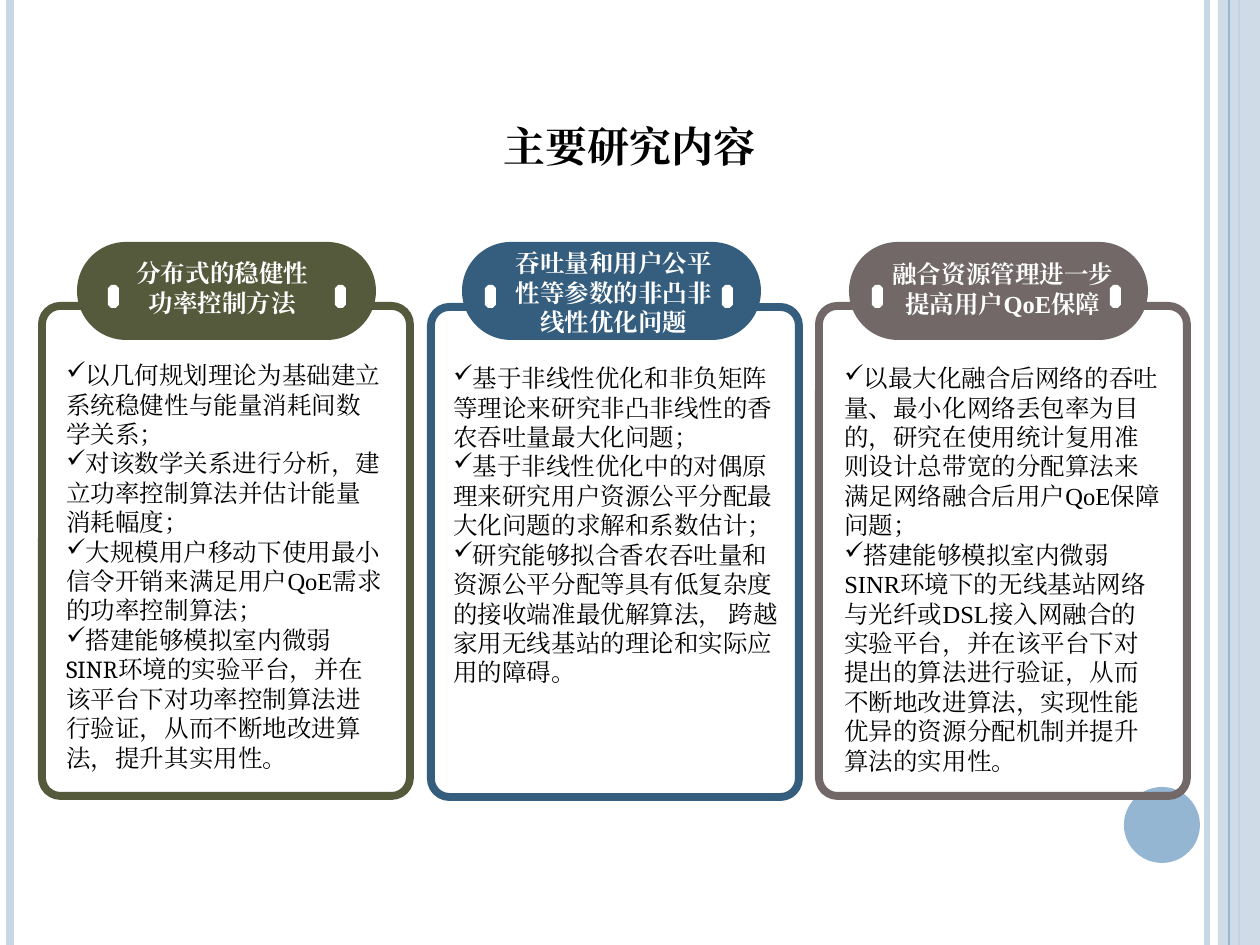
"""Builds a slide with three framed columns of research topics."""
from lxml import etree
from pptx import Presentation
from pptx.dml.color import RGBColor
from pptx.enum.shapes import MSO_CONNECTOR, MSO_SHAPE
from pptx.enum.text import MSO_ANCHOR, PP_ALIGN
from pptx.oxml.ns import qn
from pptx.util import Pt

PX = 914400 // 126
WIDTH, HEIGHT = 1260, 945
STRAIGHT = MSO_CONNECTOR.STRAIGHT
RECT, OVAL = MSO_SHAPE.RECTANGLE, MSO_SHAPE.OVAL
ROUND, OCTAGON = MSO_SHAPE.ROUNDED_RECTANGLE, MSO_SHAPE.OCTAGON
TOP, BOTTOM = MSO_ANCHOR.TOP, MSO_ANCHOR.BOTTOM
CENTER, LEFT = PP_ALIGN.CENTER, PP_ALIGN.LEFT
WHITE = RGBColor(0xFF, 0xFF, 0xFF)
BLACK = RGBColor(0, 0, 0)
PALE = RGBColor(0xC8, 0xD7, 0xE5)
BLUE = RGBColor(0x94, 0xB6, 0xD2)
OLIVE = RGBColor(0x56, 0x5A, 0x3C)
NAVY = RGBColor(0x35, 0x5D, 0x7E)
TAUPE = RGBColor(0x72, 0x68, 0x68)

COLUMNS = [
    dict(color=OLIVE, frame=(42, 306), pill=77, notches=(108, 335),
         head_box=(120, 252, 205, 74), body_box=(54, 354, 341, 444),
         head="分布式的稳健性功率控制方法",
         body=["以几何规划理论为基础建立系统稳健性与能量消耗间数学关系；",
               "对该数学关系进行分析，建立功率控制算法并估计能量消耗幅度；",
               "大规模用户移动下使用最小信令开销来满足用户|QoE|需求的功率控制算法；",
               "搭建能够模拟室内微弱SINR环境的实验平台，并在该平台下对功率控制算法"
               "进行验证，从而不断地改进算法，提升其实用性。"]),
    dict(color=NAVY, frame=(431, 307), pill=462, notches=(485, 722),
         head_box=(495, 242, 238, 106), body_box=(441, 357, 357, 339),
         head="吞吐量和用户公平性等参数的非凸非线性优化问题",
         body=["基于非线性优化和非负矩阵等理论来研究非凸非线性的香农吞吐量最大化问题；",
               "基于非线性优化中的对偶原理来研究用户资源公平分配最大化问题的求解和系数估计；",
               "研究能够拟合香农吞吐量和资源公平分配等具有低复杂度的接收端准最优解算法，"
               " 跨越家用无线基站的理论和实际应用的障碍。"]),
    dict(color=TAUPE, frame=(819, 306), pill=849, notches=(872, 1110),
         head_box=(873, 253, 260, 74), body_box=(832, 357, 341, 428),
         head="融合资源管理进一步提高用户|QoE|保障",
         body=["以最大化融合后网络的吞吐量、最小化网络丢包率为目的，研究在使用统计复用"
               "准则设计总带宽的分配算法来满足网络融合后用户|QoE|保障问题；",
               "搭建能够模拟室内微弱|SINR|环境下的无线基站网络与光纤或|DSL|接入网融合的"
               "实验平台，并在该平台下对提出的算法进行验证，从而不断地改进算法，"
               "实现性能优异的资源分配机制并提升算法的实用性。"]),
]

prs = Presentation()
prs.slide_width, prs.slide_height = WIDTH * PX, HEIGHT * PX
s = prs.slides.add_slide(prs.slide_layouts[6])


def add_shape(kind, box, fill=None, line=None, adj=None):
    sp = s.shapes.add_shape(kind, *[v * PX for v in box])
    sp.shadow.inherit = False
    if fill is None:
        sp.fill.background()
    else:
        sp.fill.solid()
        sp.fill.fore_color.rgb = fill
    if line is None:
        sp.line.fill.background()
    else:
        sp.line.color.rgb = line
        sp.line.width = Pt(4.5)
    if adj is not None:
        sp.adjustments[0] = adj
    return sp


def add_text(box, texts, size, color, bold, align, anchor=TOP, bullet=False):
    tf = s.shapes.add_textbox(*[v * PX for v in box]).text_frame
    tf.word_wrap = True
    tf.vertical_anchor = anchor
    for i, text in enumerate(texts):
        p = tf.paragraphs[0] if i == 0 else tf.add_paragraph()
        p.alignment = align
        p.line_spacing = Pt(size * 1.2)
        p.font.size, p.font.bold, p.font.color.rgb = Pt(size), bold, color
        if bullet:
            pPr = p._p.get_or_add_pPr()
            pPr.set("marL", "0")
            pPr.set("indent", "0")
            mark = etree.Element(qn("a:buChar"), char="✓")
            pPr.find(qn("a:defRPr")).addprevious(mark)
        for j, part in enumerate(text.split("|")):
            r = p.add_run()
            r.text = part
            r.font.size, r.font.bold, r.font.color.rgb = Pt(size), bold, color
            r.font.name = "Times New Roman" if j % 2 else "Cambria"
            etree.SubElement(r._r.rPr, qn("a:ea"), typeface="Cambria")
            r._r.rPr.set("lang", "zh-CN")
    return tf


def_lines = [(1207, PALE, 3), (10, PALE, 4.5), (1239, BLUE, 1.5), (1229, BLUE, 0.75)]
for x, color, weight in def_lines:
    if x == 1229:
        band = add_shape(RECT, (1218, 0, 42, HEIGHT), PALE)
        clr = band.fill._xPr.find(".//" + qn("a:srgbClr"))
        etree.SubElement(clr, qn("a:alpha"), val="87000")
    cn = s.shapes.add_connector(STRAIGHT, x * PX, 0, x * PX, HEIGHT * PX)
    cn.line.color.rgb = color
    cn.line.width = Pt(weight)
    etree.SubElement(cn._element.spPr, qn("a:effectLst"))
add_shape(OVAL, (1124, 787, 76, 76), BLUE)

for col in COLUMNS:
    add_shape(ROUND, (*col["frame"], 368, 490), line=col["color"], adj=0.05)
    add_shape(ROUND, (col["pill"], 242, 299, 98), col["color"], adj=0.5)
    for x in col["notches"]:
        add_shape(OCTAGON, (x, 285, 11, 23), WHITE, adj=0.29)
    add_text(col["head_box"], [col["head"]], 14, WHITE, True, CENTER)
    add_text(col["body_box"], col["body"], 14, BLACK, False, LEFT, bullet=True)

title = add_text((0, 84, WIDTH, 95), ["主要研究内容"], 30, BLACK, True, CENTER, BOTTOM)
title.paragraphs[0].runs[0]._r.rPr.set("cap", "small")

prs.save("out.pptx")
